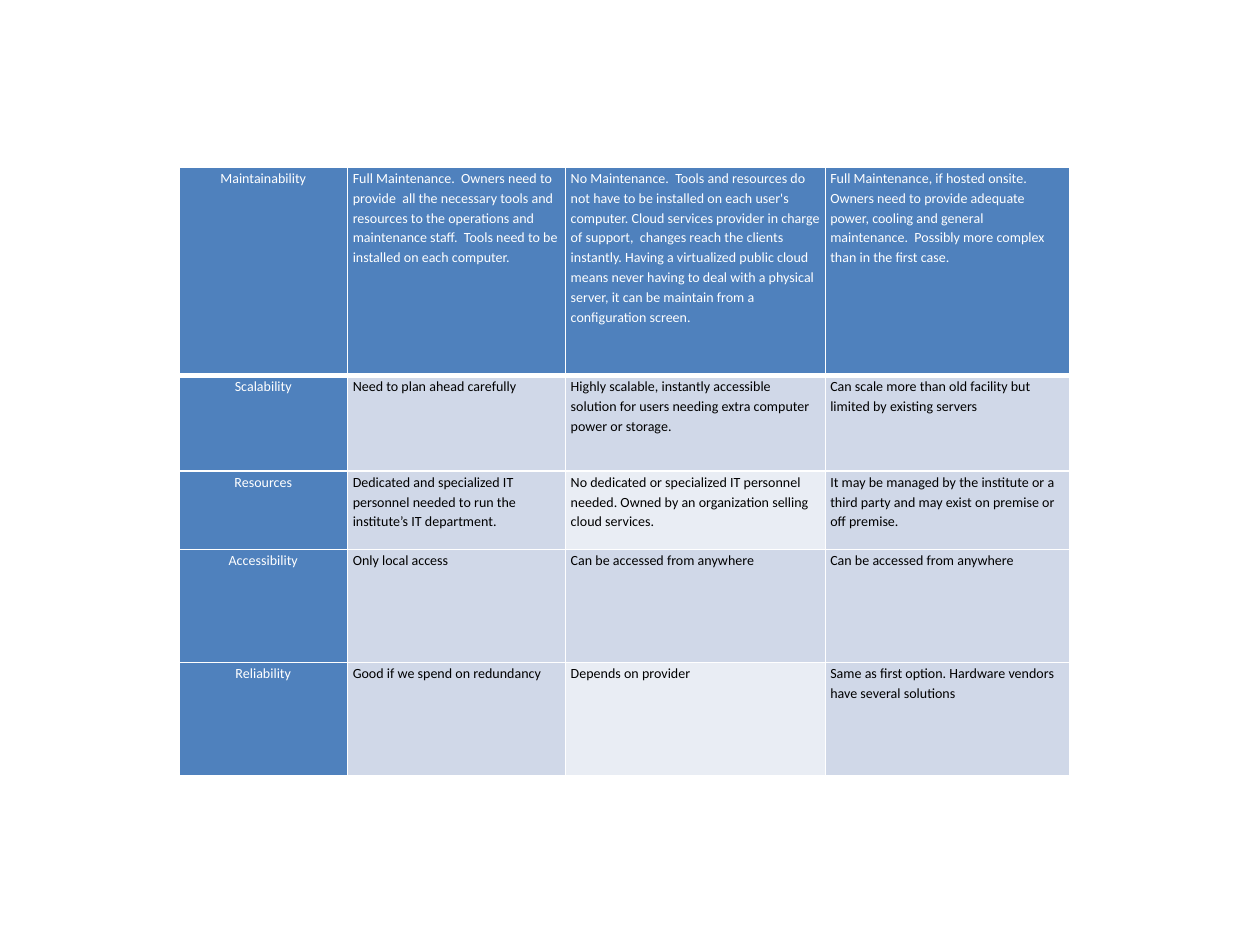
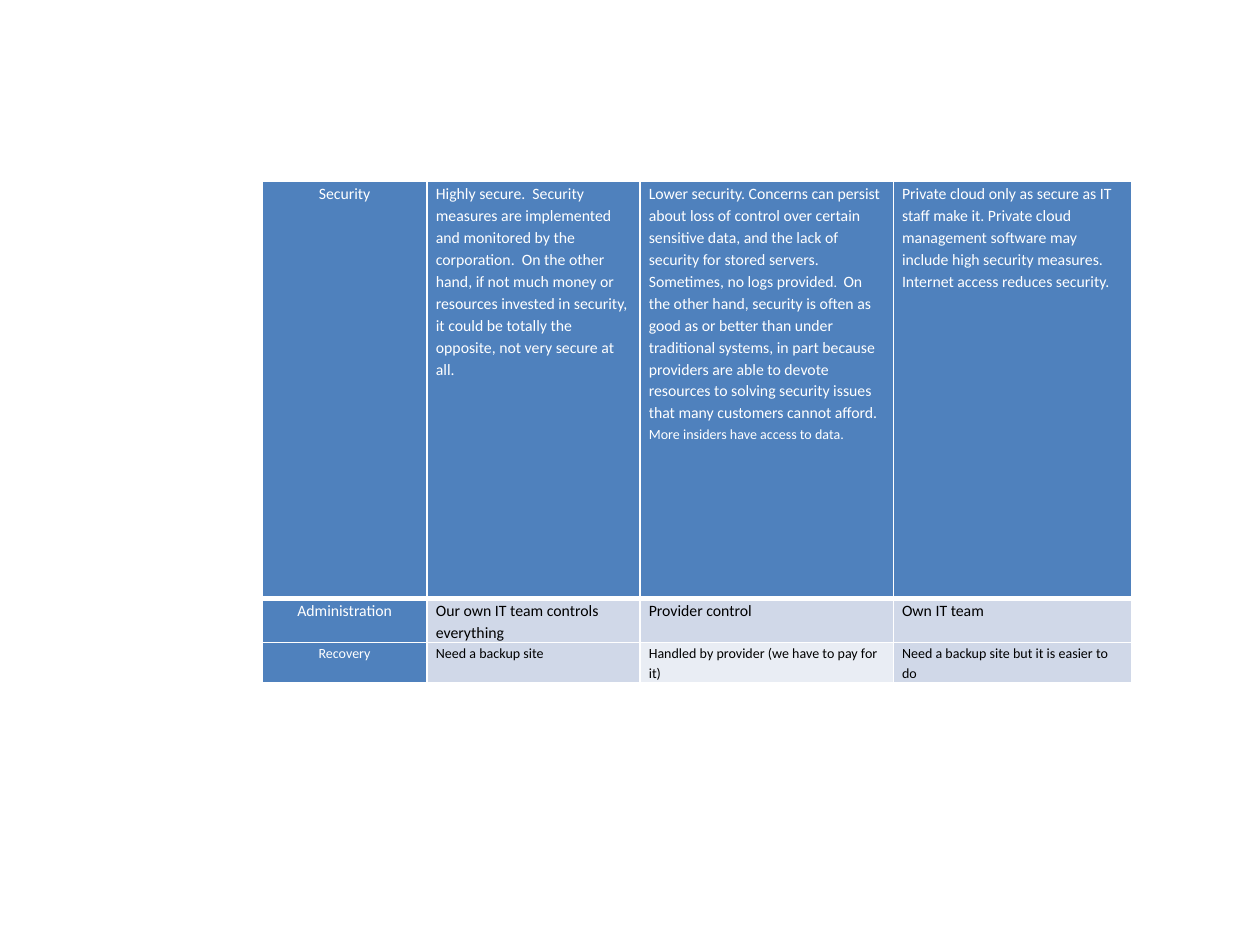
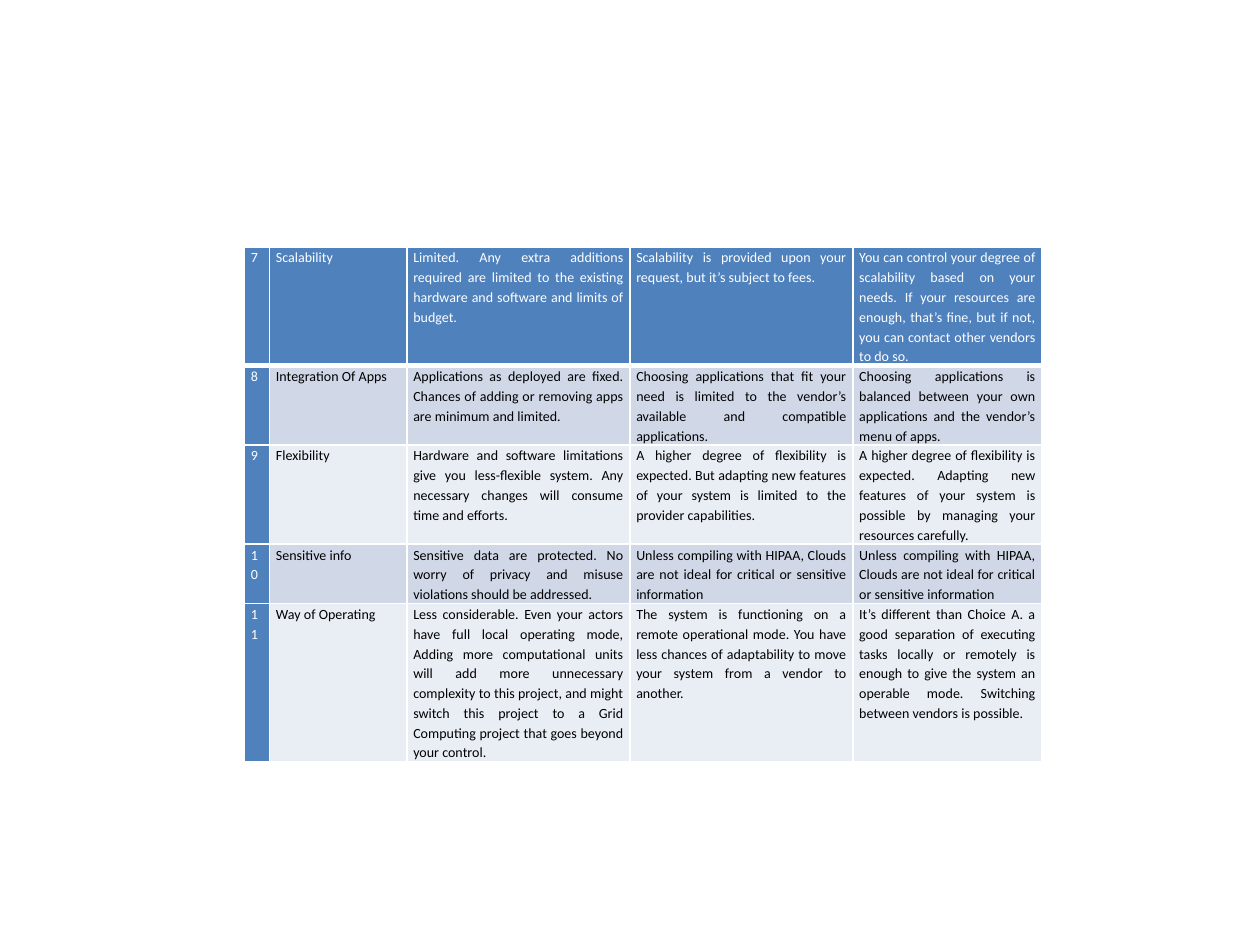
from lxml import etree
from pptx import Presentation
from pptx.dml.color import RGBColor
from pptx.enum.text import PP_ALIGN
from pptx.oxml.ns import qn
from pptx.util import Inches, Pt

LEFT, CENTER, JUSTIFY = PP_ALIGN.LEFT, PP_ALIGN.CENTER, PP_ALIGN.JUSTIFY
COLORS = {
    "header": "4F81BD",
    "band": "D0D8E8",
    "light": "E9EDF4",
    "white": "FFFFFF",
    "black": "000000",
}
FONT = "Calibri"
LINE_SPACING = 1.15

OPERATIONS = [
    ["Maintainability",
     "Full Maintenance.  Owners need to provide  all the necessary tools and resources to the "
     "operations and maintenance staff.  Tools need to be installed on each computer.",
     "No Maintenance.  Tools and resources do not have to be installed on each user's computer. "
     "Cloud services provider in charge of support,  changes reach the clients instantly. "
     "Having a virtualized public cloud means never having to deal with a physical server, "
     "it can be maintain from a  configuration screen.",
     "Full Maintenance, if hosted onsite. Owners need to provide adequate power, cooling and "
     "general maintenance.  Possibly more complex than in the first case."],
    ["Scalability",
     "Need to plan ahead carefully",
     "Highly scalable, instantly accessible solution for users needing extra computer power "
     "or storage.",
     "Can scale more than old facility but limited by existing servers"],
    ["Resources",
     "Dedicated and specialized IT personnel needed to run the institute’s IT department.",
     "No dedicated or specialized IT personnel needed. Owned by an organization selling "
     "cloud services.",
     "It may be managed by the institute or a third party and may exist on premise or "
     "off premise."],
    ["Accessibility",
     "Only local access",
     "Can be accessed from anywhere",
     "Can be accessed from anywhere"],
    ["Reliability",
     "Good if we spend on redundancy",
     "Depends on provider",
     "Same as first option. Hardware vendors have several solutions"],
]

SECURITY = [
    ["Security",
     "Highly secure.  Security measures are implemented and monitored by the corporation.  "
     "On the other hand, if not much money or resources invested in security, it could be "
     "totally the opposite, not very secure at all.",
     [[("Lower security. Concerns can persist about loss of control over certain sensitive "
        "data, and the lack of security for stored servers. Sometimes, no logs provided", 9),
       (".  ", 8),
       ("On the other hand, security is often as good as or better than under traditional "
        "systems, in part because providers are able to devote resources to solving security "
        "issues that many customers cannot afford.", 9),
       ("  More insiders have access to data.", 8)]],
     [[("Private cloud only as secure as IT staff make it. Private cloud management software "
        "may include high security measures.", 9)],
      [("Internet access reduces security.", 9)]]],
    ["Administration",
     "Our own IT team controls everything",
     "Provider control",
     "Own IT team"],
    ["Recovery",
     "Need a backup site",
     "Handled by provider (we have to pay for it)",
     "Need a backup site but it is easier to do"],
]

CHOICES = [
    ["7", "Scalability",
     "Limited. Any extra additions required are limited to the existing hardware and software "
     "and limits of budget.",
     "Scalability is provided upon your request, but it’s subject to fees.",
     "You can control your degree of scalability based on your needs. If your resources are "
     "enough, that’s fine, but if not, you can contact other vendors to do so."],
    ["8", "Integration Of Apps",
     "Applications as deployed are fixed. Chances of adding or removing apps are minimum "
     "and limited.",
     "Choosing applications that fit your need is limited to the vendor’s available and "
     "compatible applications.",
     "Choosing applications is balanced between your own applications and the vendor’s "
     "menu of apps."],
    ["9", "Flexibility",
     "Hardware and software limitations give you less-flexible system. Any necessary changes "
     "will consume time and efforts.",
     "A higher degree of flexibility is expected. But adapting new features of your system "
     "is limited to the provider capabilities.",
     "A higher degree of flexibility is expected. Adapting new features of your system is "
     "possible by managing your resources carefully."],
    ["10", "Sensitive info",
     "Sensitive data are protected. No worry of privacy and misuse violations should be "
     "addressed.",
     "Unless compiling with HIPAA, Clouds are not ideal for critical or sensitive information",
     "Unless compiling with HIPAA, Clouds are not ideal for critical or sensitive information"],
    ["11", "Way of Operating",
     "Less considerable. Even your actors have full local operating mode, Adding more "
     "computational units will add more unnecessary complexity to this project, and might "
     "switch this project to a Grid Computing project that goes beyond your control.",
     "The system is functioning on a remote operational mode. You have less chances of "
     "adaptability to move your system from a vendor to another.",
     "It’s different than Choice A. a good separation of executing tasks locally or remotely "
     "is enough to give the system an operable mode. Switching between vendors is possible."],
]


class Deck:
    def __init__(self):
        self.prs = Presentation()
        self.prs.slide_width = Inches(10)
        self.prs.slide_height = Inches(7.5)
        self.slide = None

    def add_slide(self):
        self.slide = self.prs.slides.add_slide(self.prs.slide_layouts[6])

    def table(self, left, top, cols, heights, rows, sizes, margin, light_cols,
              label_align=CENTER, body_align=LEFT):
        frame = self.slide.shapes.add_table(
            len(rows), len(cols), Inches(left), Inches(top),
            Inches(sum(cols)), Inches(sum(heights)))
        table = frame.table
        table.first_row = table.horz_banding = False
        for column, width in zip(table.columns, cols):
            column.width = Inches(width)
        for i, (row, height, size) in enumerate(zip(rows, heights, sizes)):
            table.rows[i].height = Inches(height)
            for j, content in enumerate(row):
                cell = table.cell(i, j)
                is_header = i == 0 or j == 0
                is_light = i % 2 == 0 and j in light_cols
                fill = "header" if is_header else "light" if is_light else "band"
                cell.margin_left = cell.margin_right = Inches(margin)
                cell.margin_top = cell.margin_bottom = 0
                self.borders(cell, bottom=3 if i == 0 else 1)
                cell.fill.solid()
                cell.fill.fore_color.rgb = RGBColor.from_string(COLORS[fill])
                self.text(cell.text_frame, content, size,
                          "white" if is_header else "black",
                          label_align if j == 0 else body_align)

    def borders(self, cell, bottom):
        tc_pr = cell._tc.get_or_add_tcPr()
        for side, width in (("L", 1), ("R", 1), ("T", 1), ("B", bottom)):
            ln = etree.SubElement(tc_pr, qn("a:ln" + side), w=str(Pt(width)))
            solid = etree.SubElement(ln, qn("a:solidFill"))
            etree.SubElement(solid, qn("a:srgbClr"), val=COLORS["white"])

    def text(self, tf, content, size, color, align):
        paragraphs = [[(content, size)]] if isinstance(content, str) else content
        for i, runs in enumerate(paragraphs):
            p = tf.add_paragraph() if i else tf.paragraphs[0]
            p.alignment = align
            p.line_spacing = LINE_SPACING
            for words, run_size in runs:
                r = p.add_run()
                r.text = words
                r.font.name = FONT
                r.font.size = Pt(run_size)
                r.font.bold = False
                r.font.color.rgb = RGBColor.from_string(COLORS[color])


def main():
    deck = Deck()

    deck.add_slide()
    deck.table(1.42, 1.33, [1.34, 1.73, 2.06, 1.94], [1.65, 0.76, 0.62, 0.9, 0.9],
               OPERATIONS, [8] * 5, 0.04, light_cols=(2,))

    deck.add_slide()
    deck.table(2.08, 1.44, [1.31, 1.69, 2.01, 1.89], [3.31, 0.34, 0.32],
               SECURITY, [9, 9, 8], 0.07, light_cols=(2,))

    deck.add_slide()
    deck.table(1.94, 1.96, [0.2, 1.09, 1.77, 1.77, 1.5], [0.74, 0.59, 0.74, 0.45, 1.04],
               CHOICES, [8] * 5, 0.05, light_cols=range(1, 5),
               label_align=JUSTIFY, body_align=JUSTIFY)

    deck.prs.save("out.pptx")


if __name__ == "__main__":
    main()
